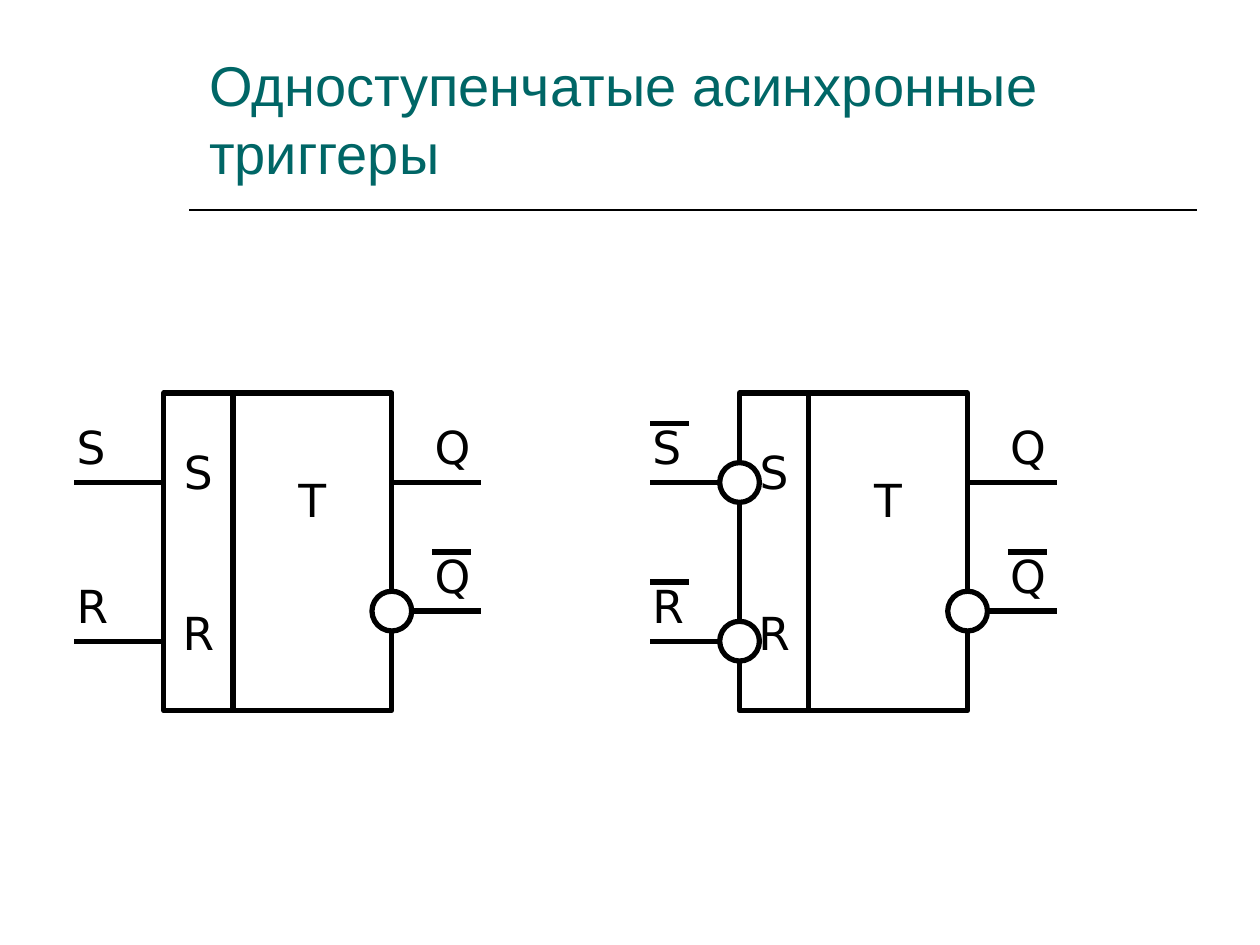
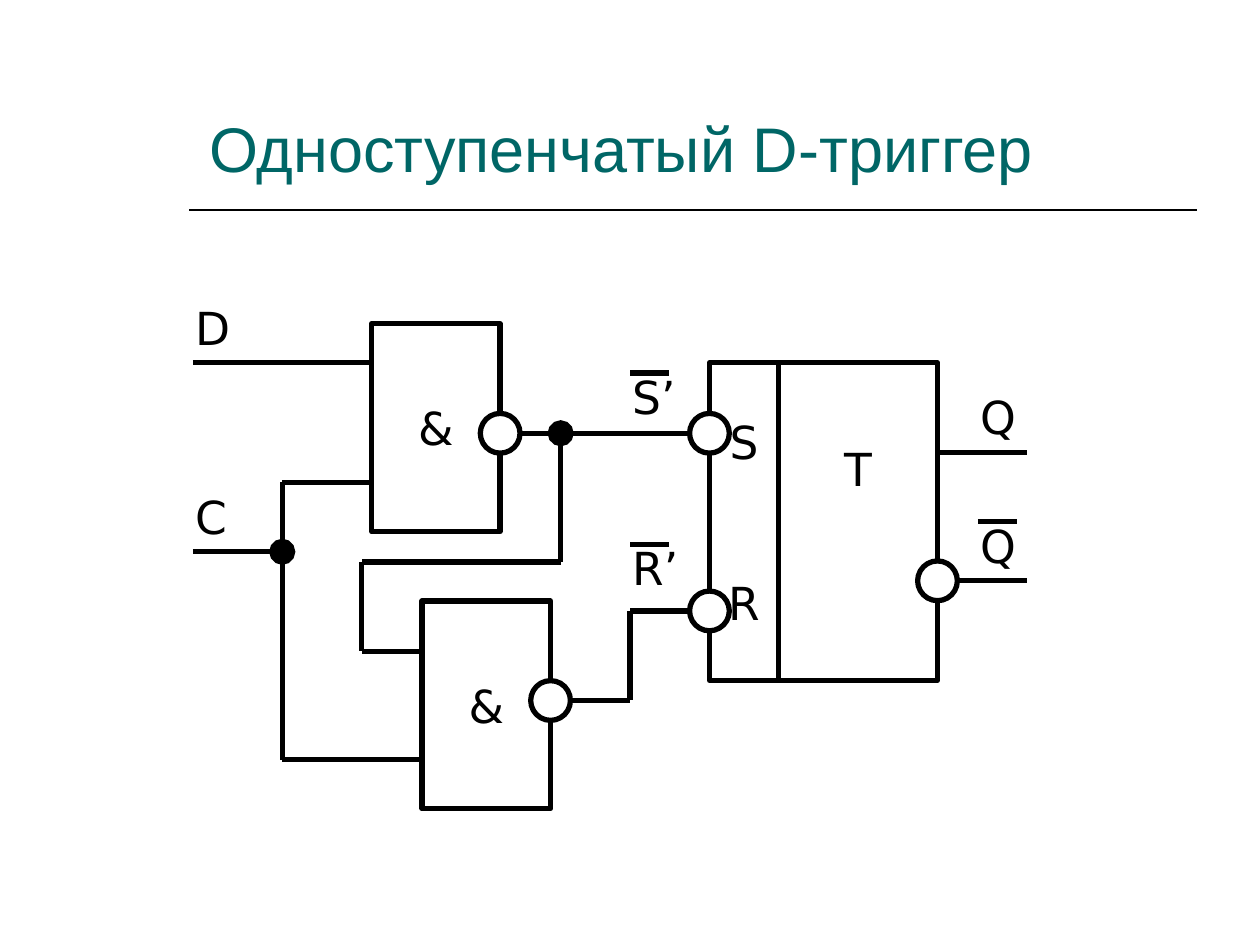
from dataclasses import dataclass
from itertools import pairwise

from lxml import etree
from pptx import Presentation
from pptx.dml.color import RGBColor
from pptx.enum import shapes, text
from pptx.oxml.ns import qn
from pptx.util import Pt


@dataclass(frozen=True)
class Theme:
    ink: RGBColor = RGBColor(0, 0, 0)
    paper: RGBColor = RGBColor(255, 255, 255)
    heading: RGBColor = RGBColor(0, 0x66, 0x66)
    heading_font: str = "Arial"
    label_font: str = "DejaVu Sans"
    label_size: float = 26
    label_line: float = 30.25
    wire: float = 3
    rule: float = 1


THEME = Theme()
PIN_W, BODY_W, TRIGGER_H = 39.5, 90.8, 181.5
GATE_W, GATE_H = 73.4, 118.8
BUBBLE = 22.7
LEAD = 51.1            # length of a lead outside its symbol
LABEL_RISE = 39.6      # from a lead up to the top of its label
LABEL_SHIFT = 5.8      # label box starts this far left of its lead
BAR_W = 22.4


def add_wire(slide, start, end, width=THEME.wire, dotted=False):
    """Draw a straight line, with a junction dot at its start if dotted."""
    wire = slide.shapes.add_connector(
        shapes.MSO_CONNECTOR.STRAIGHT, *(Pt(v) for v in (*start, *end)))
    wire.line.color.rgb = THEME.ink
    wire.line.width = Pt(width)
    if dotted:
        etree.SubElement(wire.line._get_or_add_ln(), qn("a:headEnd"),
                         type="oval", w="lg", len="lg")
    etree.SubElement(wire._element.spPr, qn("a:effectLst"))


def add_route(slide, points, dotted=False):
    for index, (start, end) in enumerate(pairwise(points)):
        add_wire(slide, start, end, dotted=dotted and index == 0)


def style_label(paragraph):
    paragraph.font.name = THEME.label_font
    paragraph.font.size = Pt(THEME.label_size)
    paragraph.font.color.rgb = THEME.ink


def add_outline(slide, kind, left, top, width, height):
    outline = slide.shapes.add_shape(
        kind, Pt(left), Pt(top), Pt(width), Pt(height))
    outline.shadow.inherit = False
    outline.fill.solid()
    outline.fill.fore_color.rgb = THEME.paper
    outline.line.color.rgb = THEME.ink
    outline.line.width = Pt(THEME.wire)
    return outline


def add_block(slide, left, top, width, height, names, lines_below=0):
    """Draw a box; names stand three lines apart, above lines_below free lines."""
    block = add_outline(slide, shapes.MSO_SHAPE.RECTANGLE,
                        left, top, width, height)
    frame = block.text_frame
    frame.word_wrap = False
    frame.vertical_anchor = text.MSO_ANCHOR.MIDDLE
    frame.margin_bottom = Pt(3.6 + lines_below * THEME.label_line)
    for index, name in enumerate(names):
        paragraph = frame.add_paragraph() if index else frame.paragraphs[0]
        paragraph.text = name
        paragraph.alignment = text.PP_ALIGN.CENTER
        if index:
            paragraph.space_before = Pt(2 * THEME.label_line)
        style_label(paragraph)


def add_bubble(slide, x, y):
    """Draw the inversion circle centred on a point."""
    add_outline(slide, shapes.MSO_SHAPE.OVAL,
                x - BUBBLE / 2, y - BUBBLE / 2, BUBBLE, BUBBLE)


def add_label(slide, name, left, top, barred=False):
    label = slide.shapes.add_textbox(Pt(left), Pt(top), Pt(LEAD), Pt(39))
    label.text_frame.word_wrap = True
    paragraph = label.text_frame.paragraphs[0]
    paragraph.text = name
    style_label(paragraph)
    if barred:
        bar_x, bar_y = left + LABEL_SHIFT, top + LABEL_SHIFT
        add_wire(slide, (bar_x, bar_y), (bar_x + BAR_W, bar_y))


def draw_trigger(slide, left, top, inputs, lead=LEAD, inverted=False):
    """Draw a trigger; inputs hold (name, lead height, label height)."""
    body_left = left + PIN_W
    right = body_left + BODY_W
    add_block(slide, left, top, PIN_W, TRIGGER_H, "SR")
    add_block(slide, body_left, top, BODY_W, TRIGGER_H, "T", lines_below=2)
    for name, lead_y, label_y in inputs:
        y = top + lead_y
        add_wire(slide, (left - lead, y), (left, y))
        add_label(slide, name, left - lead - LABEL_SHIFT, top + label_y, inverted)
        if inverted:
            add_bubble(slide, left, y)
    for lead_y, barred in ((51.1, False), (124.6, True)):
        y = top + lead_y
        add_wire(slide, (right, y), (right + LEAD, y))
        add_label(slide, "Q", right + 17.3, y - LABEL_RISE, barred)
        if barred:
            add_bubble(slide, right, y)


def draw_d_trigger(slide, left, top):
    def at(x, y):
        return left + x, top + y

    gate_1, gate_2 = (102.2, 0), (131, 158.4)
    out_1, out_2 = (gate_1[0] + GATE_W, 62.6), (gate_2[0] + GATE_W, 215.3)
    clock, branch = (LEAD, 130.3), (210.2, out_1[1])
    trigger_left, trigger_top, lead = 295.2, 22.3, 45.4
    lead_start = trigger_left - lead

    for name, y, end in (("D", 22.3, gate_1[0]), ("С", clock[1], clock[0])):
        add_wire(slide, at(0, y), at(end, y))
        add_label(slide, name, *at(-LABEL_SHIFT, y - LABEL_RISE))

    routes = (
        ([out_1, (lead_start, out_1[1])], False),
        ([out_2, (lead_start, out_2[1]), (lead_start, 164.1)], False),
        ([branch, (branch[0], 136.1), (96.5, 136.1), (96.5, 187.2),
          (gate_2[0], 187.2)], True),
        ([clock, (clock[0], 249.1), (gate_2[0], 249.1)], True),
        ([clock, (clock[0], 90.7), (gate_1[0], 90.7)], False),
    )
    for points, dotted in routes:
        add_route(slide, [at(*point) for point in points], dotted)

    for gate, out in ((gate_1, out_1), (gate_2, out_2)):
        add_block(slide, *at(*gate), GATE_W, GATE_H, "&")
        add_bubble(slide, *at(*out))
    draw_trigger(slide, *at(trigger_left, trigger_top),
                 [("S’", 40.3, 0), ("R’", 141.8, 97.9)], lead, inverted=True)


def add_titled_slide(deck, heading, size):
    slide = deck.slides.add_slide(deck.slide_layouts.get_by_name("Title Only"))
    title = slide.shapes.title
    title.left, title.top = Pt(112.3), Pt(28.1)
    title.width, title.height = Pt(567.4), Pt(81.4)
    frame = title.text_frame
    frame.text = heading
    frame.word_wrap = True
    frame.auto_size = text.MSO_AUTO_SIZE.NONE
    frame.vertical_anchor = text.MSO_ANCHOR.BOTTOM
    paragraph = frame.paragraphs[0]
    paragraph.alignment = text.PP_ALIGN.LEFT
    paragraph.font.name = THEME.heading_font
    paragraph.font.size = Pt(size)
    paragraph.font.color.rgb = THEME.heading
    add_wire(slide, (108, 120), (684, 120), THEME.rule)
    return slide


def main():
    deck = Presentation()
    deck.slide_width, deck.slide_height = Pt(720), Pt(540)

    asynchronous = add_titled_slide(
        deck, "Одноступенчатые асинхронные триггеры", 32)
    inputs = [("S", 51.1, 11.5), ("R", 141.8, 102.2)]
    for left, inverted in ((93.6, False), (422.6, True)):
        draw_trigger(asynchronous, left, 224.6, inputs, inverted=inverted)

    d_trigger = add_titled_slide(deck, "Одноступенчатый D-триггер", 36)
    draw_d_trigger(d_trigger, 110.2, 185)

    deck.save("out.pptx")


if __name__ == "__main__":
    main()
